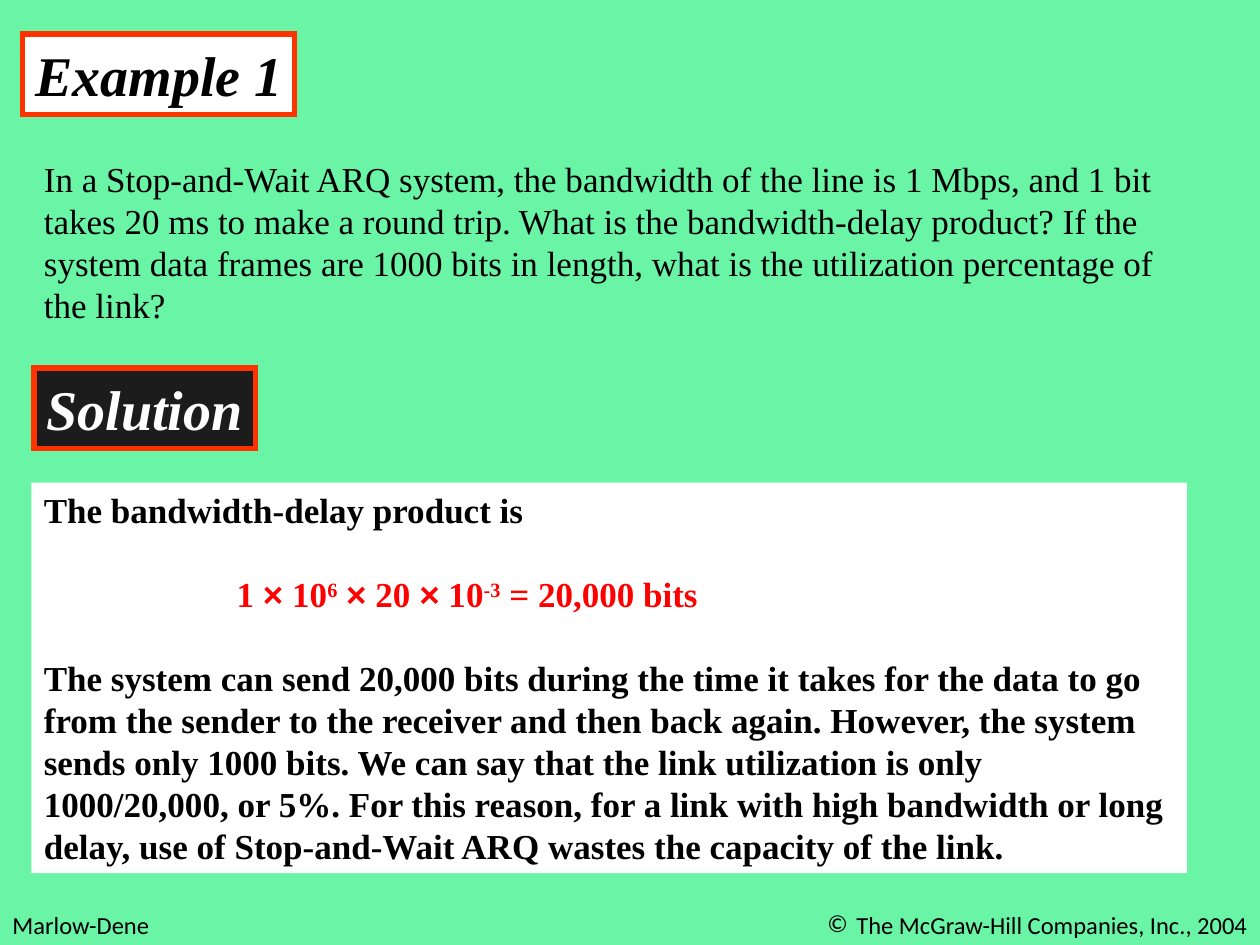
from dataclasses import dataclass
from typing import Optional

from lxml import etree
from pptx import Presentation
from pptx.dml.color import RGBColor
from pptx.enum.text import MSO_ANCHOR, PP_ALIGN
from pptx.oxml.ns import qn
from pptx.util import Inches, Pt

LEFT, RIGHT = PP_ALIGN.LEFT, PP_ALIGN.RIGHT
TOP = MSO_ANCHOR.TOP
SERIF, SANS, SYMBOL = "Times New Roman", "Calibri", "Arial"
BLACK, WHITE, RED = "000000", "FFFFFF", "FF0000"
GREEN, ORANGE, CHARCOAL = "6AF4A5", "FF3300", "1C1C1C"
WIDTH, HEIGHT = 10, 7.5
FOOTER_TOP, FOOTER_HEIGHT = 7.17, 0.34
BODY_LEFT = 0.25
LINE_GAP = 24
EQUATION_INDENT = 1.53
EQUATION = [("1 ", 0), ("×", 0), (" 10", 0), ("6", 30), (" ", 0), ("×", 0),
            (" 20 ", 0), ("×", 0), (" 10", 0), ("-3", 30),
            (" = 20,000 bits", 0)]


@dataclass
class Style:
    size: float
    color: str = BLACK
    font: str = SERIF
    bold: bool = False
    italic: bool = False
    align: PP_ALIGN = LEFT


@dataclass
class Area:
    left: float
    top: float
    width: float
    height: float
    fill: Optional[str] = None
    line: Optional[str] = None
    wrap: bool = True
    right_margin: float = 0.1


QUESTION = Style(20)
ANSWER = Style(20, bold=True)
FORMULA = Style(20, RED, bold=True)


def rgb(color: str) -> RGBColor:
    return RGBColor.from_string(color)


def style_paragraph(para, style: Style) -> None:
    para.alignment = style.align
    font = para.font
    font.name, font.size = style.font, Pt(style.size)
    font.bold, font.italic = style.bold, style.italic
    font.color.rgb = rgb(style.color)


def format_box(box, area: Area) -> None:
    box.left, box.top = Inches(area.left), Inches(area.top)
    box.width, box.height = Inches(area.width), Inches(area.height)
    if area.fill:
        box.fill.solid()
        box.fill.fore_color.rgb = rgb(area.fill)
    if area.line:
        box.line.color.rgb = rgb(area.line)
        box.line.width = Pt(3)
        outline = box._element.spPr.find(qn("a:ln"))
        etree.SubElement(outline, qn("a:miter")).set("lim", "800000")
    frame = box.text_frame
    frame.word_wrap = area.wrap
    frame.vertical_anchor = TOP
    frame.margin_left = Inches(0.1)
    frame.margin_right = Inches(area.right_margin)
    frame.margin_top = frame.margin_bottom = Inches(0.05)


def fill_title(box, area: Area, text: str, style: Style) -> None:
    format_box(box, area)
    para = box.text_frame.paragraphs[0]
    para.text = text
    para.line_spacing = 1.0
    para.space_before = Pt(0)
    style_paragraph(para, style)


def add_text(slide, area: Area, text: str, style: Style):
    box = slide.shapes.add_textbox(0, 0, 0, 0)
    format_box(box, area)
    para = box.text_frame.paragraphs[0]
    para.text = text
    style_paragraph(para, style)
    return box


def add_bulleted_text(slide, area: Area, text: str, style: Style,
                      character: str, hang: float) -> None:
    box = slide.shapes.add_textbox(0, 0, 0, 0)
    format_box(box, area)
    para = box.text_frame.paragraphs[0]
    para.text = text
    properties = para._p.get_or_add_pPr()
    properties.set("marL", str(Inches(hang)))
    properties.set("indent", str(-Inches(hang)))
    etree.SubElement(properties, qn("a:buFont")).set("typeface", style.font)
    etree.SubElement(properties, qn("a:buChar")).set("char", character)
    style_paragraph(para, style)


def add_following(frame, style: Style):
    para = frame.add_paragraph()
    para.space_before = Pt(LINE_GAP)
    style_paragraph(para, style)
    return para


def add_equation(frame) -> None:
    para = add_following(frame, FORMULA)
    para._p.get_or_add_pPr().set("marL", str(Inches(EQUATION_INDENT)))
    for text, raised in EQUATION:
        span = para.add_run()
        span.text = text
        if text == "×":
            span.font.name = SYMBOL
        if raised:
            span.font._element.set("baseline", str(raised * 1000))


def main() -> None:
    deck = Presentation()
    deck.slide_width, deck.slide_height = Inches(WIDTH), Inches(HEIGHT)
    slide = deck.slides.add_slide(deck.slide_layouts[5])
    slide.background.fill.solid()
    slide.background.fill.fore_color.rgb = rgb(GREEN)

    add_text(slide, Area(0, FOOTER_TOP, 2.42, FOOTER_HEIGHT),
             "Marlow-Dene", Style(14, font=SANS))
    add_bulleted_text(slide, Area(WIDTH / 2, FOOTER_TOP, WIDTH / 2, FOOTER_HEIGHT),
                      "The McGraw-Hill Companies, Inc., 2004",
                      Style(14, font=SANS, align=RIGHT), "©", 0.23)

    fill_title(slide.shapes.title,
               Area(0.18, 0.27, 2.16, 0.64, WHITE, ORANGE, wrap=False,
                    right_margin=0),
               "Example 1", Style(32, bold=True, italic=True))
    add_text(slide, Area(BODY_LEFT, 1.2, 9.25, 1.44),
             "In a Stop-and-Wait ARQ system, the bandwidth of the line is 1 Mbps, "
             "and 1 bit takes 20 ms to make a round trip. What is the "
             "bandwidth-delay product? If the system data frames are 1000 bits in "
             "length, what is the utilization percentage of the link?", QUESTION)
    add_text(slide, Area(0.27, 2.92, 1.76, 0.64, CHARCOAL, ORANGE, wrap=False),
             "Solution", Style(32, WHITE, bold=True, italic=True))

    answer = add_text(slide, Area(BODY_LEFT, 3.83, 9.17, 3.1, WHITE),
                      "The bandwidth-delay product is", ANSWER).text_frame
    add_equation(answer)
    add_following(answer, ANSWER).text = (
        "The system can send 20,000 bits during the time it takes for the data "
        "to go from the sender to the receiver and then back again. However, the "
        "system sends only 1000 bits. We can say that the link utilization is "
        "only 1000/20,000, or 5%. For this reason, for a link with high bandwidth "
        "or long delay, use of Stop-and-Wait ARQ wastes the capacity of the link.")
    deck.save("out.pptx")


if __name__ == "__main__":
    main()
